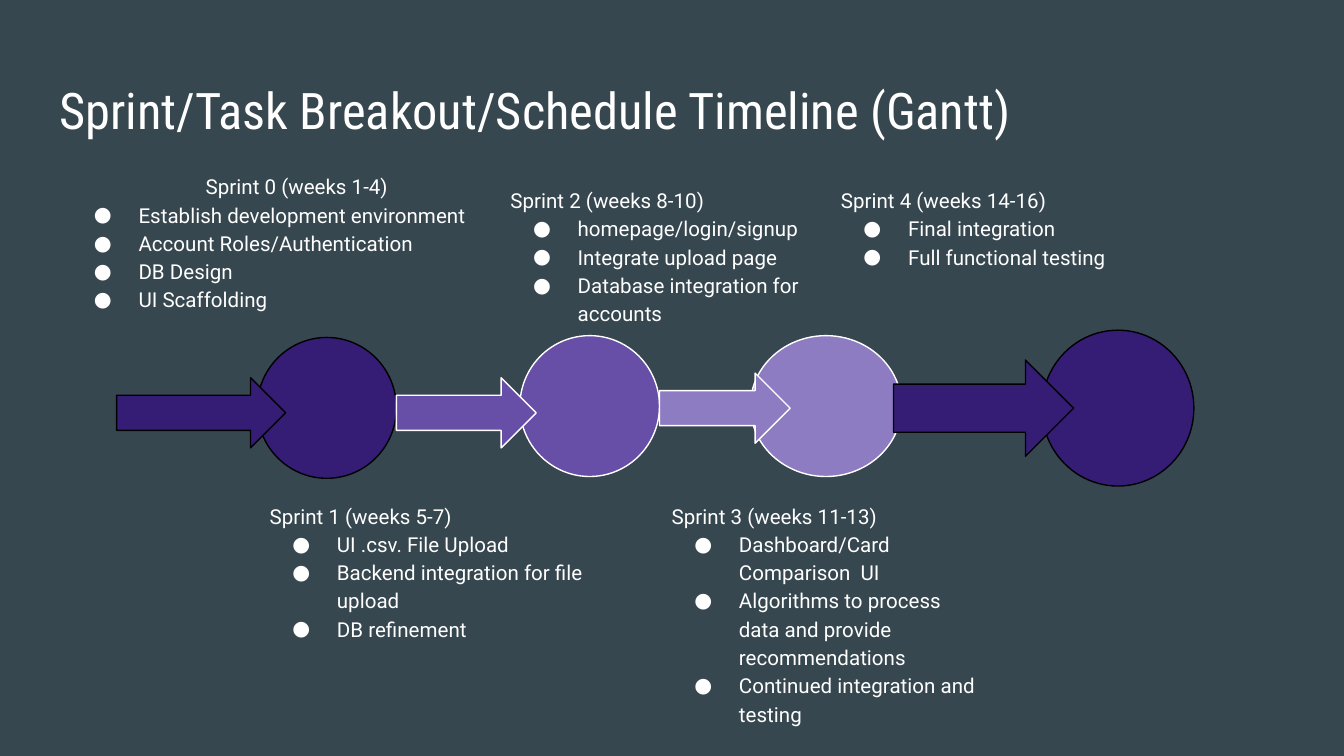
"""Build a sprint schedule slide with a timeline of circles and arrows."""
from dataclasses import dataclass

import lxml.etree
import pptx
import pptx.dml.color
import pptx.enum.shapes
import pptx.enum.text
import pptx.oxml.ns
import pptx.util

Pt = pptx.util.Pt
Shape = pptx.enum.shapes.MSO_SHAPE
COLORS = {
    "background": "37474F",
    "text": "FFFFFF",
    "outline": "000000",
    "dark": "351C75",
    "medium": "674EA7",
    "light": "8E7CC3",
}
INSET = 7.2
BULLET_INDENT = 36
BULLET_HANG = -23.9


@dataclass(frozen=True)
class Frame:
    left: float
    top: float
    width: float
    height: float


@dataclass(frozen=True)
class Sprint:
    heading: str
    tasks: tuple[str, ...]
    frame: Frame


@dataclass(frozen=True)
class Marker:
    kind: Shape
    frame: Frame
    fill: str
    line: str


TITLE = "Sprint/Task Breakout/Schedule Timeline (Gantt)"
TITLE_FRAME = Frame(24.5, 35.3, 671, 45.4)
FIRST_SPRINT = Sprint(
    "Sprint 0 (weeks 1-4)",
    ("Establish development environment", "Account Roles/Authentication",
     "DB Design", "UI Scaffolding"),
    Frame(31, 84.2, 234.7, 92.9),
)
LATER_SPRINTS = (
    Sprint("Sprint 1 (weeks 5-7)",
           ("UI .csv. File Upload", "Backend integration for file upload", "DB refinement"),
           Frame(137.4, 260.6, 195, 104.4)),
    Sprint("Sprint 2 (weeks 8-10)",
           ("homepage/login/signup", "Integrate upload page",
            "Database integration for accounts"),
           Frame(266.4, 91.6, 187.2, 104.4)),
    Sprint("Sprint 3 (weeks 11-13)",
           ("Dashboard/Card Comparison  UI",
            "Algorithms to process data and provide recommendations",
            "Continued integration and testing"),
           Frame(352.8, 260.6, 180, 150.5)),
    Sprint("Sprint 4 (weeks 14-16)", ("Final integration", "Full functional testing"),
           Frame(443.4, 91.6, 167, 58.3)),
)
MARKERS = (
    Marker(Shape.OVAL, Frame(137.8, 180.8, 74.6, 75.5), "dark", "outline"),
    Marker(Shape.RIGHT_ARROW, Frame(62.5, 202.4, 90.5, 37.6), "dark", "outline"),
    Marker(Shape.OVAL, Frame(278.5, 179.8, 74.8, 75.5), "medium", "text"),
    Marker(Shape.OVAL, Frame(402, 179.8, 81, 75.5), "light", "text"),
    Marker(Shape.RIGHT_ARROW, Frame(212.4, 202.4, 74.9, 37.6), "medium", "text"),
    Marker(Shape.RIGHT_ARROW, Frame(353.3, 199.9, 70, 37.6), "light", "text"),
    Marker(Shape.OVAL, Frame(558.2, 176.9, 81.4, 83.5), "dark", "outline"),
    Marker(Shape.RIGHT_ARROW, Frame(478.7, 192.9, 96.5, 51.6), "dark", "outline"),
)


def color(name: str) -> pptx.dml.color.RGBColor:
    """Return the named colour."""
    return pptx.dml.color.RGBColor.from_string(COLORS[name])


def place(box, frame: Frame) -> None:
    """Move and size a box."""
    box.left, box.top = Pt(frame.left), Pt(frame.top)
    box.width, box.height = Pt(frame.width), Pt(frame.height)


def prepare_frame(box) -> None:
    """Give a box even insets, wrapping and top-aligned text."""
    text_frame = box.text_frame
    text_frame.word_wrap = True
    text_frame.auto_size = pptx.enum.text.MSO_AUTO_SIZE.NONE
    text_frame.vertical_anchor = pptx.enum.text.MSO_ANCHOR.TOP
    text_frame.margin_left = text_frame.margin_right = Pt(INSET)
    text_frame.margin_top = text_frame.margin_bottom = Pt(INSET)


def write(para, text: str, *, size: float = 11, font: str = "Roboto",
          spacing: float = 1.15, margin: float = 0, indent: float = 0,
          bullet: bool = False) -> None:
    """Write one formatted paragraph, with a bullet if asked."""
    properties = para._p.get_or_add_pPr()
    properties.set("marL", str(Pt(margin)))
    properties.set("indent", str(Pt(indent)))
    qn = pptx.oxml.ns.qn
    if bullet:
        bullet_color = lxml.etree.SubElement(properties, qn("a:buClr"))
        lxml.etree.SubElement(bullet_color, qn("a:srgbClr"), val=COLORS["text"])
        lxml.etree.SubElement(properties, qn("a:buFont"), typeface=font)
        lxml.etree.SubElement(properties, qn("a:buChar"), char="●")
    else:
        lxml.etree.SubElement(properties, qn("a:buNone"))
    para.alignment = pptx.enum.text.PP_ALIGN.LEFT
    para.line_spacing = spacing
    para.space_before = para.space_after = Pt(0)
    span = para.add_run()
    span.text = text
    span.font.size = Pt(size)
    span.font.name = font
    span.font.color.rgb = color("text")


def fill_sprint(box, sprint: Sprint, **heading_format: float) -> None:
    """Write a sprint heading and its bulleted tasks into a box."""
    place(box, sprint.frame)
    prepare_frame(box)
    write(box.text_frame.paragraphs[0], sprint.heading, **heading_format)
    for task in sprint.tasks:
        write(box.text_frame.add_paragraph(), task, margin=BULLET_INDENT,
              indent=BULLET_HANG, bullet=True)


def draw_marker(page, marker: Marker) -> None:
    """Draw one circle or arrow of the timeline."""
    shape = page.shapes.add_shape(marker.kind, 0, 0, 0, 0)
    place(shape, marker.frame)
    shape.shadow.inherit = False
    shape.fill.solid()
    shape.fill.fore_color.rgb = color(marker.fill)
    shape.line.color.rgb = color(marker.line)
    shape.line.width = Pt(0.75)


def main() -> None:
    """Build and save the deck."""
    deck = pptx.Presentation()
    deck.slide_width, deck.slide_height = Pt(720), Pt(405)
    page = deck.slides.add_slide(deck.slide_layouts[1])
    page.background.fill.solid()
    page.background.fill.fore_color.rgb = color("background")

    title = page.shapes.title
    place(title, TITLE_FRAME)
    prepare_frame(title)
    write(title.text_frame.paragraphs[0], TITLE, size=27,
          font="Roboto Condensed", spacing=1)
    fill_sprint(page.placeholders[1], FIRST_SPRINT,
                margin=BULLET_INDENT, indent=BULLET_INDENT)
    for marker in MARKERS:
        draw_marker(page, marker)
    for sprint in LATER_SPRINTS:
        fill_sprint(page.shapes.add_textbox(0, 0, 0, 0), sprint)
    deck.save("out.pptx")


if __name__ == "__main__":
    main()
